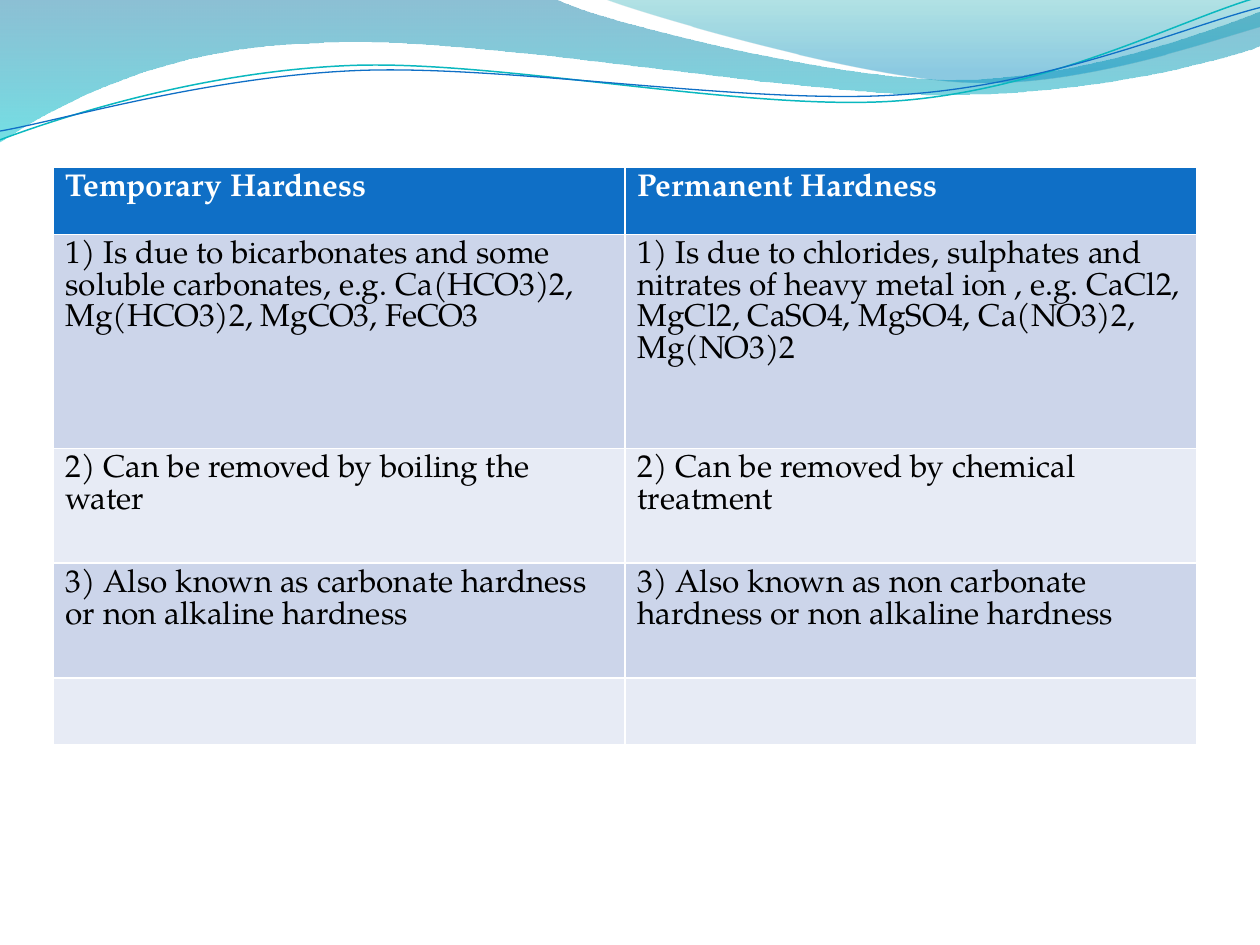
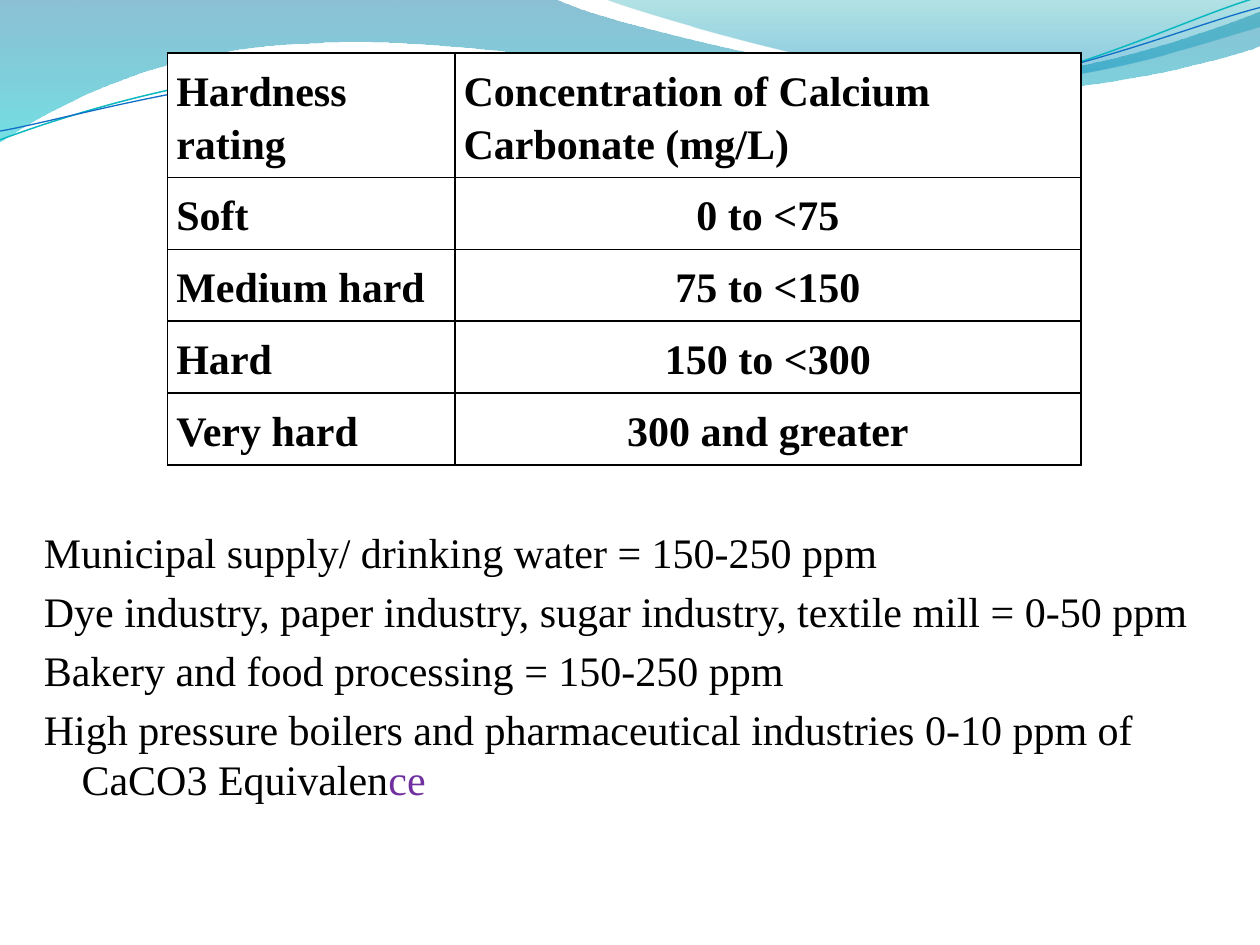
import math

import pptx
import pptx.dml.color
import pptx.enum.text
import pptx.oxml.ns
import pptx.util
from lxml import etree

Inches = pptx.util.Inches
Pt = pptx.util.Pt
RGBColor = pptx.dml.color.RGBColor
ALIGN = pptx.enum.text.PP_ALIGN
qn = pptx.oxml.ns.qn

WHITE = RGBColor(0xFF, 0xFF, 0xFF)
BLACK = RGBColor(0x00, 0x00, 0x00)
BLUE = RGBColor(0x0F, 0x6F, 0xC6)
TURQUOISE = RGBColor(0x0A, 0xB8, 0xBF)
DEEP_BLUE = RGBColor(0x00, 0x74, 0xA1)
CYAN = RGBColor(0x00, 0xC6, 0xCF)
TEAL = RGBColor(0x00, 0xA1, 0xA9)
SKY_BLUE = RGBColor(0x00, 0x8B, 0xBF)
BAND_DARK = RGBColor(0xCC, 0xD5, 0xEA)
BAND_LIGHT = RGBColor(0xE7, 0xEB, 0xF5)
PURPLE = RGBColor(0x70, 0x30, 0xA0)

PAGELLA = "TeX Gyre Pagella"
TIMES = "Times New Roman"
LINE_TILT = 2.7

LEFT_WAVE = [
    (0, 0), (4.4, -0.01),
    (4.76, 0.17, 6.64, 0.63, 7.58, 0.63), (8.53, 0.63, 9.58, 0.26, 10, 0.09),
    (10.01, 0.36),
    (9.83, 0.44, 8.7, 0.76, 7.46, 0.75), (6.22, 0.75, 3.82, 0.28, 2.57, 0.34),
    (1.29, 0.36, 0.46, 0.83, -0.01, 1.13),
]
RIGHT_WAVE = [
    (4.79, -0.01), (5.09, 0.11, 6.82, 0.62, 7.69, 0.65),
    (8.56, 0.69, 9.61, 0.32, 10, 0.21), (10, 0),
]
TURQUOISE_LINE = [
    (0, 1.11), (0.48, 0.93, 1.58, 0.57, 2.77, 0.52),
    (3.95, 0.47, 5.93, 0.89, 7.13, 0.8), (8.33, 0.71, 9.38, 0.15, 9.98, -0.02),
]
BLUE_LINE = [
    (0, 1.04), (0.47, 0.96, 1.64, 0.61, 2.83, 0.56),
    (4.03, 0.51, 5.97, 0.84, 7.17, 0.75), (8.36, 0.67, 9.41, 0.21, 10, 0.06),
]

HARDNESS_TYPES = [
    ("Temporary Hardness", "Permanent Hardness"),
    ("1) Is due to bicarbonates and some soluble carbonates, e.g. Ca(HCO3)2, "
     "Mg(HCO3)2, MgCO3, FeCO3",
     "1) Is due to chlorides, sulphates and nitrates of heavy metal ion , e.g. CaCl2, "
     "MgCl2, CaSO4, MgSO4, Ca(NO3)2, Mg(NO3)2"),
    ("2) Can be removed by boiling the water", "2) Can be removed by chemical treatment"),
    ("3) Also known as carbonate hardness or non alkaline hardness",
     "3) Also known as non carbonate hardness or non alkaline hardness"),
    ("", ""),
]
HARDNESS_RATINGS = [
    ("Hardness rating", "Concentration of Calcium Carbonate (mg/L)"),
    ("Soft", "0 to <75"),
    ("Medium hard", "75 to <150"),
    ("Hard", "150 to <300"),
    ("Very hard", "300 and greater"),
]
WATER_LIMITS = [
    [("Municipal supply/ drinking water = 150-250 ppm", BLACK)],
    [("Dye industry, paper industry, sugar industry, textile mill = 0-50 ppm", BLACK)],
    [("Bakery and food processing = 150-250 ppm", BLACK)],
    [("High pressure boilers and pharmaceutical industries 0-10 ppm of "
      "CaCO3 Equivalen", BLACK), ("ce", PURPLE)],
]


def join_curves(outline, segments):
    sides = iter(list(outline._element.iter(qn("a:lnTo"))))
    for segment in segments[1:]:
        side = next(sides)
        if len(segment) == 6:
            side.addprevious(curve := etree.Element(qn("a:cubicBezTo")))
            for node in (side, next(sides), next(sides)):
                curve.append(node[0])
                node.getparent().remove(node)


def add_outline(slide, segments, close):
    points = [(Inches(x), Inches(y)) for segment in segments
              for x, y in zip(segment[::2], segment[1::2])]
    builder = slide.shapes.build_freeform(*points[0])
    builder.add_line_segments(points[1:], close=close)
    outline = builder.convert_to_shape()
    outline.shadow.inherit = False
    join_curves(outline, segments)
    return outline


def add_wave(slide, segments, stops):
    wave = add_outline(slide, segments, True)
    wave.line.fill.background()
    wave.fill.gradient()
    wave.fill.gradient_angle = 270
    for stop, (position, color, opacity) in zip(wave.fill.gradient_stops, stops):
        stop.position = position
        stop.color.rgb = color
    colors = wave._element.spPr.iter(qn("a:srgbClr"))
    for color_node, (_, _, opacity) in zip(colors, stops):
        etree.SubElement(color_node, qn("a:alpha"), val=str(opacity * 1000))
    return wave


def level(segments, center_x, center_y):
    cosine, sine = math.cos(math.radians(LINE_TILT)), math.sin(math.radians(LINE_TILT))
    leveled = []
    for segment in segments:
        offsets = [(x - center_x, y - center_y) for x, y in zip(segment[::2], segment[1::2])]
        leveled.append([value for x, y in offsets
                        for value in (center_x + x * cosine - y * sine,
                                      center_y + x * sine + y * cosine)])
    return leveled


def add_wave_line(slide, segments, color, width):
    wave_line = add_outline(slide, level(segments, 4.99, 0.58), False)
    wave_line.rotation = 360 - LINE_TILT
    wave_line.fill.background()
    wave_line.line.color.rgb = color
    wave_line.line.width = Pt(width)
    return wave_line


def add_wave_header(slide, master):
    parts = [
        add_wave(slide, LEFT_WAVE, [(0, DEEP_BLUE, 45), (1, CYAN, 55)]),
        add_wave(slide, RIGHT_WAVE, [(0, TEAL, 30), (0.8, SKY_BLUE, 45)]),
        add_wave_line(slide, TURQUOISE_LINE, TURQUOISE, 0.85),
        add_wave_line(slide, BLUE_LINE, BLUE, 0.75),
    ]
    for number, part in enumerate(parts, 101):
        part._element.nvSpPr.cNvPr.set("id", str(number))
        master.shapes._spTree.append(part._element)


def add_run(paragraph, text, font_name, size, color, bold=False):
    run = paragraph.add_run()
    run.text = text
    run.font.name = font_name
    run.font.size = Pt(size)
    run.font.bold = bold
    run.font.color.rgb = color


def set_borders(cell, color, width):
    properties = cell._tc.get_or_add_tcPr()
    for side in "LRTB":
        border = etree.SubElement(properties, qn("a:ln" + side), w=str(Pt(width)))
        fill = etree.SubElement(border, qn("a:solidFill"))
        etree.SubElement(fill, qn("a:srgbClr"), val=str(color))


def add_grid(slide, left, top, columns, rows, contents, style_cell):
    grid = slide.shapes.add_table(len(rows), len(columns), Inches(left), Inches(top),
                                  Inches(sum(columns)), Inches(sum(rows))).table
    for column, width in zip(grid.columns, columns):
        column.width = Inches(width)
    for row, height in zip(grid.rows, rows):
        row.height = Inches(height)
    for row_index, texts in enumerate(contents):
        for column_index, text in enumerate(texts):
            style_cell(grid.cell(row_index, column_index), row_index, column_index, text)


def style_type_cell(cell, row, column, text):
    heading = row == 0
    cell.fill.solid()
    cell.fill.fore_color.rgb = BLUE if heading else (BAND_LIGHT, BAND_DARK)[row % 2]
    if text:
        add_run(cell.text_frame.paragraphs[0], text, PAGELLA, 18,
                WHITE if heading else BLACK, heading)


def style_rating_cell(cell, row, column, text):
    set_borders(cell, BLACK, 1)
    cell.fill.solid()
    cell.fill.fore_color.rgb = WHITE
    cell.margin_left = cell.margin_right = cell.margin_top = Inches(0.07)
    cell.margin_bottom = Inches(0.04 if row else 0)
    paragraph = cell.text_frame.paragraphs[0]
    paragraph.line_spacing = 1.15
    paragraph.alignment = ALIGN.CENTER if row and column else ALIGN.LEFT
    add_run(paragraph, text, TIMES, 24, BLACK, True)


def add_water_limits(slide, left, top, width, height, table_clearance):
    frame = slide.shapes.add_textbox(Inches(left), Inches(top),
                                     Inches(width), Inches(height)).text_frame
    frame.word_wrap = True
    frame.margin_top = Inches(table_clearance)
    for index, runs in enumerate(WATER_LIMITS):
        paragraph = frame.add_paragraph() if index else frame.paragraphs[0]
        if index:
            paragraph.space_before = Pt(4.8)
        properties = paragraph._p.get_or_add_pPr()
        properties.set("marL", str(Inches(0.3)))
        properties.set("indent", str(Inches(-0.3)))
        for text, color in runs:
            add_run(paragraph, text, TIMES, 24, color)


def main():
    presentation = pptx.Presentation()
    presentation.slide_width = Inches(10)
    presentation.slide_height = Inches(7.5)
    blank = presentation.slide_layouts[6]

    types_slide = presentation.slides.add_slide(blank)
    add_wave_header(types_slide, presentation.slide_master)
    add_grid(types_slide, 0.42, 1.33, [4.54, 4.54], [0.53, 1.7, 0.91, 0.91, 0.53],
             HARDNESS_TYPES, style_type_cell)

    ratings_slide = presentation.slides.add_slide(blank)
    add_water_limits(ratings_slide, 0.25, 2.12, 9.5, 5.05, 2.06)
    add_grid(ratings_slide, 1.33, 0.42, [2.28, 4.97], [0.99] + [0.57] * 4,
             HARDNESS_RATINGS, style_rating_cell)

    presentation.save("out.pptx")


if __name__ == "__main__":
    main()
